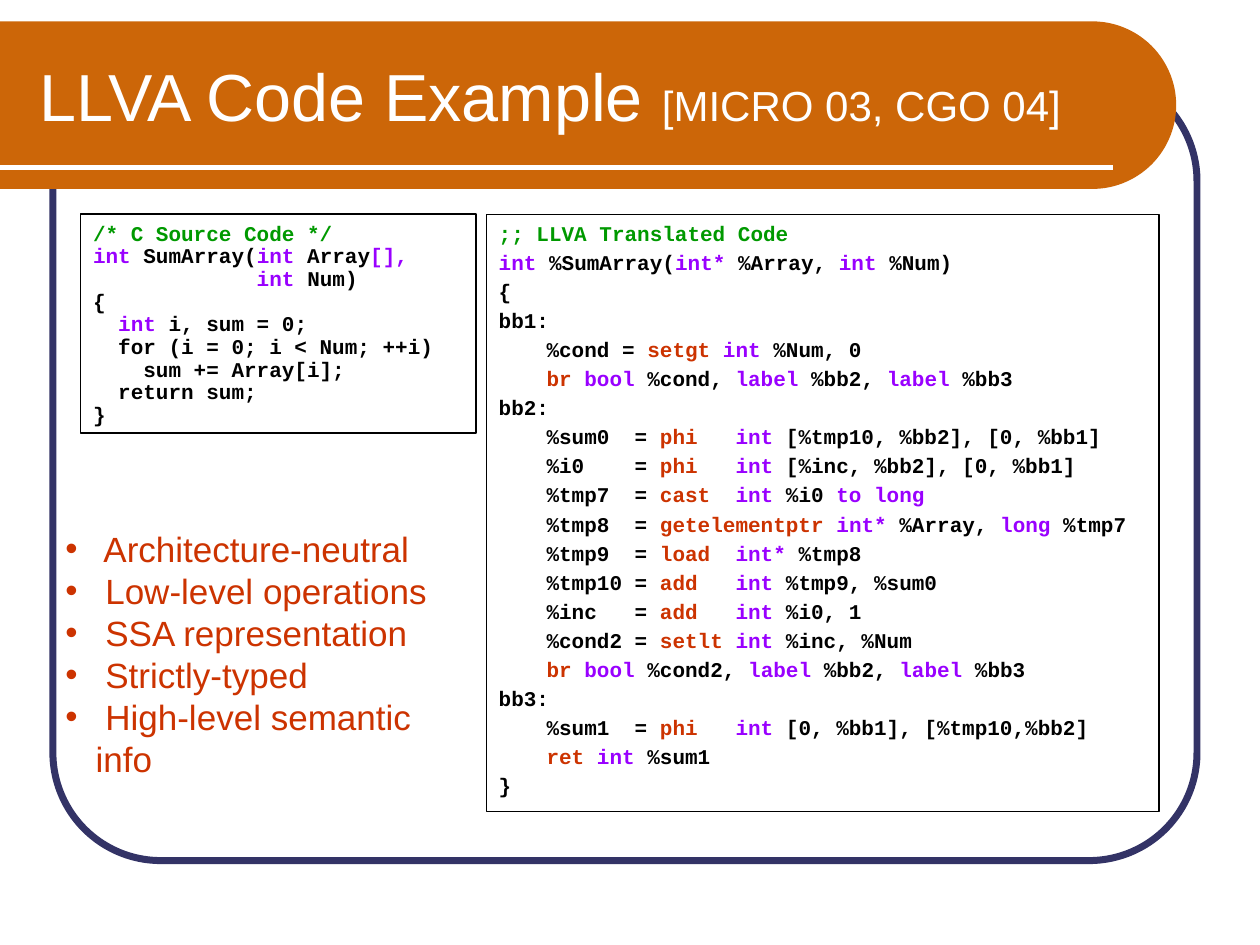
from dataclasses import dataclass
from math import cos, pi, sin

from lxml.etree import SubElement
from pptx import Presentation
from pptx.dml.color import RGBColor
from pptx.enum.shapes import MSO_CONNECTOR, MSO_SHAPE
from pptx.enum.text import MSO_ANCHOR, MSO_AUTO_SIZE, PP_ALIGN
from pptx.oxml.ns import qn
from pptx.util import Inches, Pt

NAVY = RGBColor(0x33, 0x33, 0x66)
ORANGE = RGBColor(0xCC, 0x66, 0x08)
WHITE = RGBColor(0xFF, 0xFF, 0xFF)
BLACK = RGBColor(0x00, 0x00, 0x00)
GREEN = RGBColor(0x00, 0x99, 0x00)
PURPLE = RGBColor(0x99, 0x00, 0xFF)
RED = RGBColor(0xCC, 0x33, 0x00)

OPCODES = {"setgt", "setlt", "br", "phi", "cast", "getelementptr", "load", "add", "ret"}
COMMENT_STARTS = ("/*", ";;")


@dataclass
class CodeBox:
    left: float
    top: float
    width: float
    height: float
    border: float
    code: str  # backticks enclose the coloured parts
    hanging: float = 0
    space_before: float = 0
    line_spacing: float = 1.0


C_SOURCE = CodeBox(0.64, 1.7, 3.14, 1.74, 1, line_spacing=0.9, code="""\
`/* C Source Code */`
`int` SumArray(`int` Array`[],`
`             int` Num)
{
  `int` i, sum = 0;
  for (i = 0; i < Num; ++i)
    sum += Array[i];
  return sum;
}""")

LLVA_CODE = CodeBox(3.86, 1.7, 5.34, 4.74, 0.75, hanging=0.38, space_before=2.2, code="""\
`;; LLVA Translated Code`
`int` %SumArray(`int* `%Array, `int `%Num)
{
bb1:
\t%cond = `setgt ``int` %Num, 0
\t`br ``bool` %cond, `label` %bb2, `label` %bb3
bb2:
\t%sum0  = `phi   ``int` [%tmp10, %bb2], [0, %bb1]
\t%i0    = `phi   ``int` [%inc, %bb2], [0, %bb1]
\t%tmp7  = `cast  ``int` %i0 `to long`
\t%tmp8  = `getelementptr ``int*` %Array, `long` %tmp7
\t%tmp9  = `load  ``int* `%tmp8
\t%tmp10 = `add   ``int` %tmp9, %sum0
\t%inc   = `add   ``int` %i0, 1
\t%cond2 = `setlt ``int` %inc, %Num
\t`br ``bool` %cond2, `label` %bb2, `label` %bb3
bb3:
\t%sum1  = `phi   ``int` [0, %bb1], [%tmp10,%bb2]
\t`ret ``int` %sum1
}""")

FEATURES = ["Architecture-neutral", "Low-level operations", "SSA representation",
            "Strictly-typed", "High-level semantic info"]


def token_color(token: str) -> RGBColor:
    if token.startswith(COMMENT_STARTS):
        return GREEN
    return RED if token.strip() in OPCODES else PURPLE


def set_hanging(paragraph, inches: float):
    properties = paragraph._p.get_or_add_pPr()
    properties.set("marL", str(Inches(inches)))
    properties.set("indent", str(-Inches(inches)))
    return properties


def add_code_box(shapes, box: CodeBox) -> None:
    panel = shapes.add_shape(MSO_SHAPE.RECTANGLE, Inches(box.left), Inches(box.top),
                             Inches(box.width), Inches(box.height))
    panel.shadow.inherit = False
    panel.fill.background()
    panel.line.color.rgb = BLACK
    panel.line.width = Pt(box.border)
    frame = panel.text_frame
    frame.word_wrap = True
    frame.vertical_anchor = MSO_ANCHOR.TOP
    for number, line in enumerate(box.code.split("\n")):
        paragraph = frame.add_paragraph() if number else frame.paragraphs[0]
        paragraph.alignment = PP_ALIGN.LEFT
        paragraph.space_before = Pt(box.space_before)
        paragraph.line_spacing = box.line_spacing if number else 1.0
        paragraph.font.name = "Courier New"
        paragraph.font.size = Pt(12)
        paragraph.font.bold = True
        set_hanging(paragraph, box.hanging)
        for position, token in enumerate(line.split("`")):
            if token:
                run = paragraph.add_run()
                run.text = token
                run.font.color.rgb = token_color(token) if position % 2 else BLACK


def add_features(shapes) -> None:
    features = shapes.add_textbox(Inches(0.42), Inches(4.14), Inches(3.42), Inches(1.77))
    frame = features.text_frame
    frame.word_wrap = True
    for number, feature in enumerate(FEATURES):
        paragraph = frame.add_paragraph() if number else frame.paragraphs[0]
        paragraph.text = " " + feature
        paragraph.font.name = "Arial"
        paragraph.font.size = Pt(20)
        paragraph.font.color.rgb = RED
        properties = set_hanging(paragraph, 0.24)
        bullet_font = SubElement(properties, qn("a:buFont"))
        bullet_font.set("typeface", "Arial")
        SubElement(properties, qn("a:buChar")).set("char", "•")
        # The run properties default must follow the bullet
        properties.append(properties.find(qn("a:defRPr")))


def add_backdrop(shapes) -> None:
    # Rounded frame
    frame = shapes.add_shape(MSO_SHAPE.ROUNDED_RECTANGLE, Inches(0.42), Inches(0.58),
                             Inches(9.08), Inches(6.25))
    frame.adjustments[0] = 0.137
    frame.shadow.inherit = False
    frame.fill.background()
    frame.line.color.rgb = NAVY
    frame.line.width = Pt(4)

    # Title band with a semicircular right end
    top, bottom, center_x, steps = 0.17, 1.5, 8.67, 60
    radius = (bottom - top) / 2
    angles = [-pi / 2 + pi * step / steps for step in range(steps + 1)]
    arc = [(Inches(center_x + radius * cos(angle)),
            Inches(top + radius + radius * sin(angle))) for angle in angles]
    builder = shapes.build_freeform(0, Inches(top))
    builder.add_line_segments(arc + [(0, Inches(bottom))], close=True)
    band = builder.convert_to_shape()
    band.shadow.inherit = False
    band.fill.solid()
    band.fill.fore_color.rgb = ORANGE
    band.line.fill.background()

    # Rule under the title
    rule = shapes.add_connector(MSO_CONNECTOR.STRAIGHT, 0, Inches(1.33),
                                Inches(8.83), Inches(1.33))
    rule.line.color.rgb = WHITE
    rule.line.width = Pt(3)
    SubElement(rule._element.spPr, qn("a:effectLst"))


def place_title(shapes) -> None:
    title = shapes.title
    title.left, title.top = Inches(0.21), Inches(0.25)
    title.width, title.height = Inches(8.77), Inches(1)
    frame = title.text_frame
    frame.auto_size = MSO_AUTO_SIZE.NONE
    frame.vertical_anchor = MSO_ANCHOR.MIDDLE
    heading = frame.paragraphs[0]
    heading.alignment = PP_ALIGN.LEFT
    heading.font.name = "Arial"
    heading.font.color.rgb = WHITE
    for text, size in (("LLVA Code Example ", 38), ("[MICRO 03, CGO 04]", 24)):
        run = heading.add_run()
        run.text = text
        run.font.size = Pt(size)
    # Bring the title in front of the band
    shapes._spTree.append(title._element)


def main() -> None:
    deck = Presentation()
    deck.slide_width, deck.slide_height = Inches(10), Inches(7.5)
    shapes = deck.slides.add_slide(deck.slide_layouts[5]).shapes
    add_backdrop(shapes)
    place_title(shapes)
    for box in (LLVA_CODE, C_SOURCE):
        add_code_box(shapes, box)
    add_features(shapes)
    deck.save("out.pptx")


if __name__ == "__main__":
    main()
